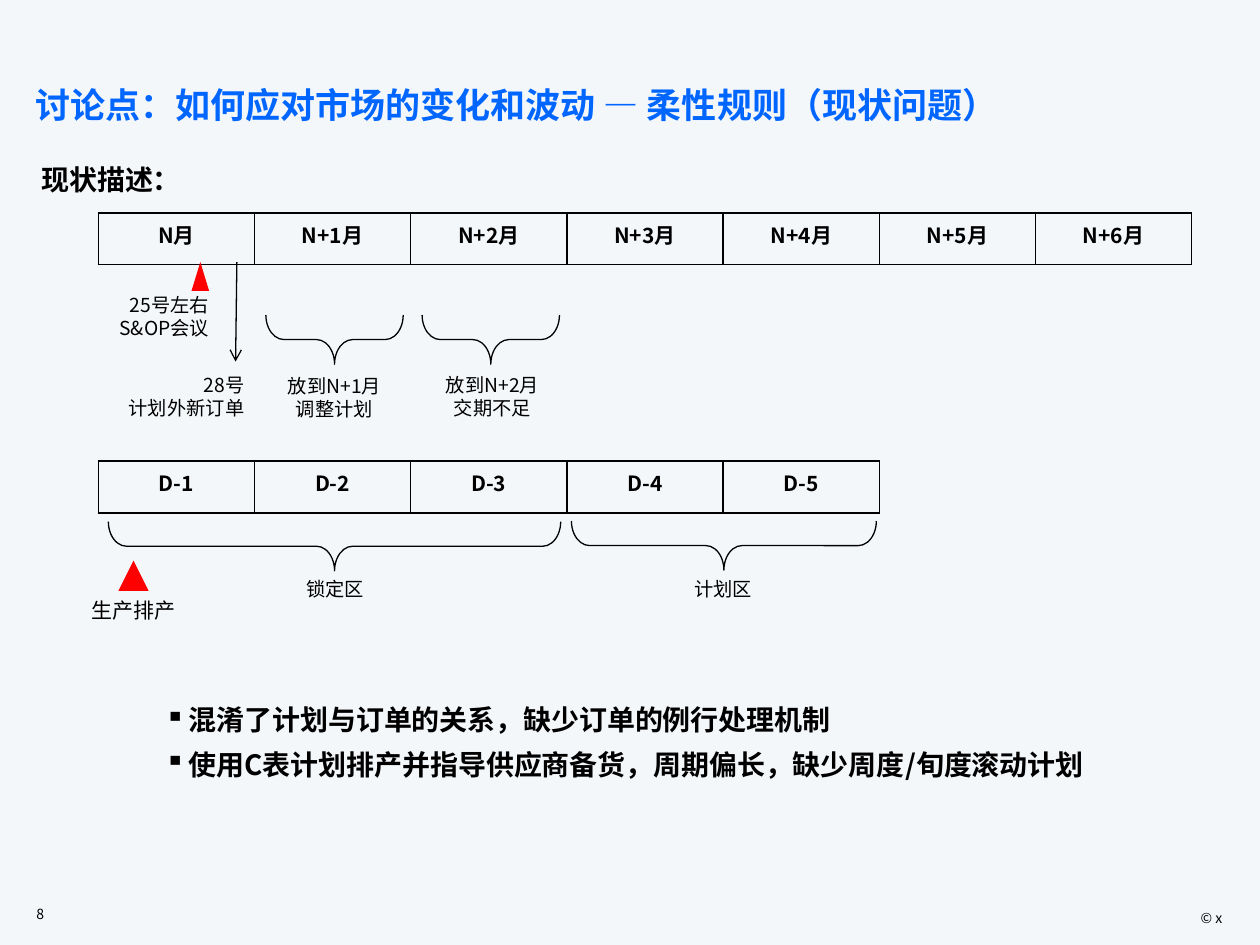
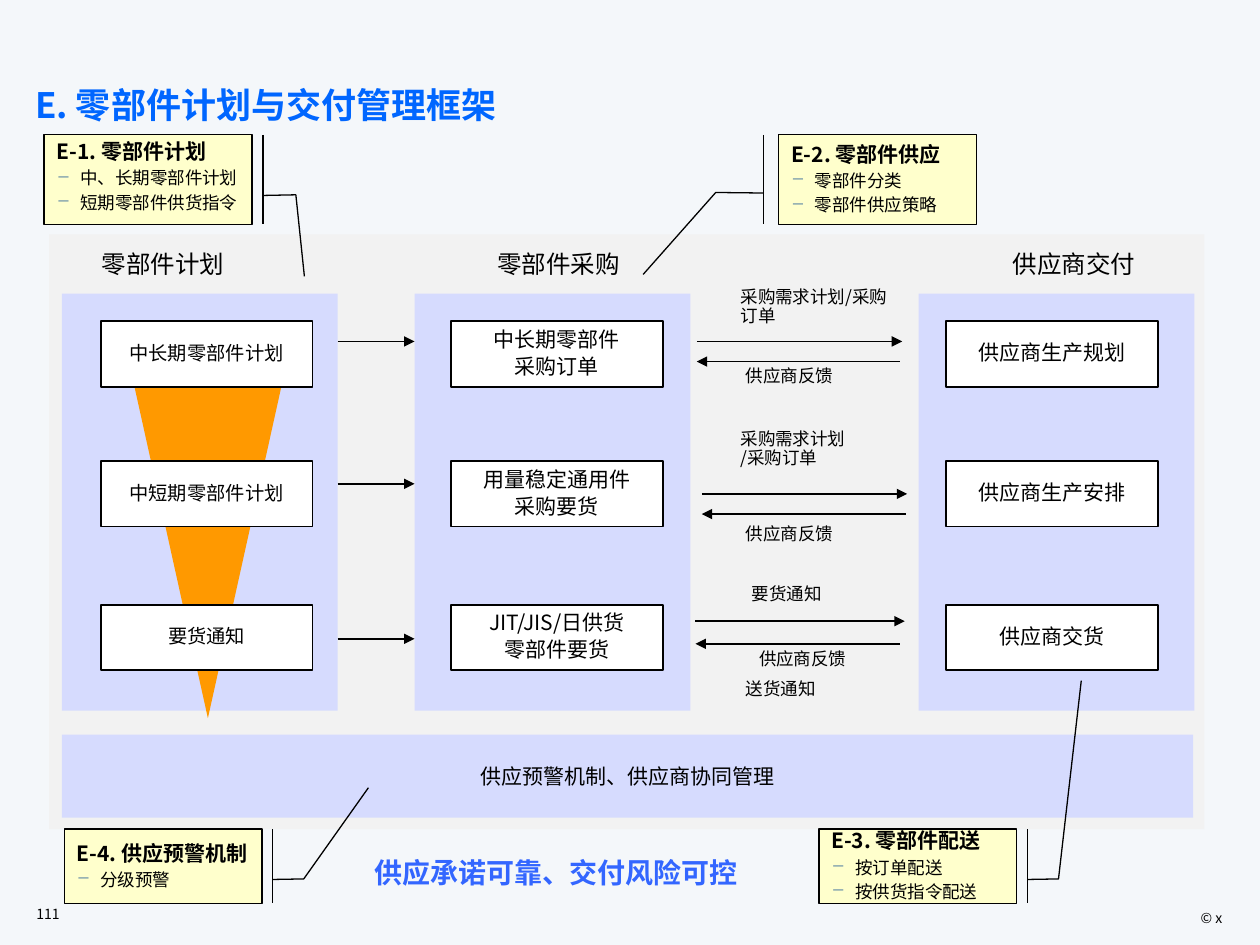
from lxml.etree import SubElement
from pptx import Presentation
from pptx.dml.color import RGBColor
from pptx.enum.shapes import MSO_CONNECTOR, MSO_SHAPE
from pptx.enum.text import MSO_ANCHOR, PP_ALIGN
from pptx.oxml.ns import qn
from pptx.util import Inches, Pt

FONT = "Noto Sans CJK SC"
BLACK = RGBColor(0x00, 0x00, 0x00)
WHITE = RGBColor(0xFF, 0xFF, 0xFF)
BACKGROUND = RGBColor(0xF4, 0xF7, 0xFA)
TITLE_BLUE = RGBColor(0x00, 0x66, 0xFF)
SLOGAN_BLUE = RGBColor(0x33, 0x66, 0xFF)
RED = RGBColor(0xFF, 0x00, 0x00)
ORANGE = RGBColor(0xFF, 0x99, 0x00)
PANEL_GREY = RGBColor(0xF2, 0xF2, 0xF2)
LANE_BLUE = RGBColor(0xD6, 0xDB, 0xFE)
NOTE_YELLOW = RGBColor(0xFF, 0xFF, 0xCC)
LEFT, CENTER, RIGHT = PP_ALIGN.LEFT, PP_ALIGN.CENTER, PP_ALIGN.RIGHT
TOP, MIDDLE = MSO_ANCHOR.TOP, MSO_ANCHOR.MIDDLE


def write(shape, text, size, bold=False, color=BLACK, align=LEFT, anchor=TOP,
          spacing=1.0, gap=0, wrap=True, bullet=None):
    frame = shape.text_frame
    frame.text = text
    frame.word_wrap = wrap
    frame.vertical_anchor = anchor
    for index, paragraph in enumerate(frame.paragraphs):
        paragraph.alignment = align
        paragraph.line_spacing = spacing
        paragraph.space_before = Pt(gap if index else 0)
        if bullet:
            properties = paragraph._p.get_or_add_pPr()
            properties.set("marL", str(Inches(0.19)))
            properties.set("indent", str(-Inches(0.19)))
            if bullet == "▪" or index:
                if bullet == "−":
                    bullet_color = SubElement(properties, qn("a:buClr"))
                    SubElement(bullet_color, qn("a:srgbClr")).set("val", "2F6499")
                SubElement(properties, qn("a:buChar")).set("char", bullet)
        for run in paragraph.runs:
            run.font.size = Pt(size)
            run.font.bold = bold
            run.font.color.rgb = color
            run.font.name = FONT
            SubElement(run._r.get_or_add_rPr(), qn("a:ea")).set("typeface", FONT)


def add_arrow(slide, x1, y1, x2, y2, width, head):
    connector = slide.shapes.add_connector(
        MSO_CONNECTOR.STRAIGHT, Inches(x1), Inches(y1), Inches(x2), Inches(y2))
    connector.line.color.rgb = BLACK
    connector.line.width = Pt(width)
    SubElement(connector.line._get_or_add_ln(), qn("a:tailEnd")).set("type", head)
    SubElement(connector._element.spPr, qn("a:effectLst"))


presentation = Presentation()
presentation.slide_width = Inches(10)
presentation.slide_height = Inches(7.5)

slides = []
for title, number in [("讨论点：如何应对市场的变化和波动 — 柔性规则（现状问题）", "8"),
                      ("E. 零部件计划与交付管理框架", "111")]:
    slide = presentation.slides.add_slide(presentation.slide_layouts[6])
    slide.background.fill.solid()
    slide.background.fill.fore_color.rgb = BACKGROUND
    copyright_box = slide.shapes.add_textbox(Inches(8.3), Inches(7.17), Inches(1.5), Inches(0.2))
    write(copyright_box, "© x", 8, align=RIGHT)
    number_box = slide.shapes.add_textbox(Inches(0.19), Inches(7.13), Inches(0.7), Inches(0.24))
    write(number_box, number, 8, anchor=MIDDLE)
    title_box = slide.shapes.add_textbox(Inches(0.18), Inches(0.65), Inches(9.65), Inches(0.76))
    write(title_box, title, 20, True, TITLE_BLUE, spacing=0.9)
    slides.append(slide)

status_slide, framework_slide = slides

months = ["N月"] + [f"N+{offset}月" for offset in range(1, 7)]
days = [f"D-{day}" for day in range(1, 6)]
for labels, top in [(months, 1.69), (days, 3.66)]:
    table = status_slide.shapes.add_table(
        1, len(labels), Inches(0.78), Inches(top), Inches(1.24 * len(labels)), Inches(0.41)).table
    table.first_row = False
    table.horz_banding = False
    for column, label in enumerate(labels):
        table.columns[column].width = Inches(1.24)
        cell = table.cell(0, column)
        write(cell, label, 12, True, align=CENTER, anchor=MIDDLE)
        cell.margin_left = cell.margin_right = Inches(0.04)
        properties = cell._tc.get_or_add_tcPr()
        for side in ("a:lnL", "a:lnR", "a:lnT", "a:lnB"):
            border = SubElement(properties, qn(side), w=str(Pt(1)))
            border_fill = SubElement(border, qn("a:solidFill"))
            SubElement(border_fill, qn("a:srgbClr")).set("val", "000000")
        cell.fill.background()

for left, top, width, height in [(1.52, 2.08, 0.14, 0.23), (0.94, 4.45, 0.24, 0.24)]:
    marker = status_slide.shapes.add_shape(
        MSO_SHAPE.ISOSCELES_TRIANGLE, Inches(left), Inches(top), Inches(width), Inches(height))
    marker.shadow.inherit = False
    marker.fill.solid()
    marker.fill.fore_color.rgb = RED
    marker.line.fill.background()

add_arrow(status_slide, 1.88, 2.08, 1.87, 2.87, 0.75, "arrow")

for left, top, length in [(2.46, 2.15, 1.09), (3.7, 2.15, 1.09),
                          (2.46, 2.54, 3.59), (5.55, 3.12, 2.42)]:
    brace = status_slide.shapes.add_shape(
        MSO_SHAPE.RIGHT_BRACE, Inches(left), Inches(top), Inches(0.39), Inches(length))
    brace.rotation = 90
    brace.adjustments[0] = 0.368
    brace.adjustments[1] = 0.5
    brace.shadow.inherit = False
    brace.fill.background()
    brace.line.color.rgb = BLACK
    brace.line.width = Pt(0.75)

for text, left, top, width, height, size, bold, align, wrap in [
    ("现状描述：", 0.23, 1.24, 1.32, 0.37, 16, True, LEFT, False),
    ("25号左右\nS&OP会议", 0.8, 2.28, 0.96, 0.47, 11, False, RIGHT, False),
    ("28号\n计划外新订单", 0.91, 2.91, 1.13, 0.47, 11, False, RIGHT, False),
    ("放到N+1月\n调整计划", 2.16, 2.92, 0.99, 0.47, 11, False, CENTER, True),
    ("放到N+2月\n交期不足", 3.41, 2.91, 1, 0.47, 11, False, CENTER, True),
    ("锁定区", 2.33, 4.53, 0.66, 0.29, 11, False, CENTER, False),
    ("计划区", 5.41, 4.53, 0.66, 0.29, 11, False, CENTER, False),
    ("生产排产", 0.55, 4.69, 1.02, 0.3, 12, False, CENTER, True),
]:
    label_box = status_slide.shapes.add_textbox(
        Inches(left), Inches(top), Inches(width), Inches(height))
    write(label_box, text, size, bold, align=align, wrap=wrap)

issues_box = status_slide.shapes.add_textbox(Inches(1.21), Inches(5.53), Inches(7.85), Inches(0.72))
write(issues_box, "混淆了计划与订单的关系，缺少订单的例行处理机制\n"
      "使用C表计划排产并指导供应商备货，周期偏长，缺少周度/旬度滚动计划",
      16, True, gap=6, bullet="▪")

bands = [(MSO_SHAPE.RECTANGLE, 0.39, 1.86, 9.17, 4.72, PANEL_GREY, "")]
bands += [(MSO_SHAPE.RECTANGLE, left, 2.33, 2.19, 3.31, LANE_BLUE, "")
          for left in (0.49, 3.29, 7.29)]
bands += [
    (MSO_SHAPE.RECTANGLE, 0.49, 5.83, 8.98, 0.66, LANE_BLUE, "供应预警机制、供应商协同管理"),
    (MSO_SHAPE.ISOSCELES_TRIANGLE, 0.95, 2.54, 1.4, 3.16, ORANGE, ""),
]
for kind, left, top, width, height, color, text in bands:
    band = framework_slide.shapes.add_shape(
        kind, Inches(left), Inches(top), Inches(width), Inches(height))
    band.shadow.inherit = False
    band.fill.solid()
    band.fill.fore_color.rgb = color
    band.line.fill.background()
    if kind == MSO_SHAPE.ISOSCELES_TRIANGLE:
        band.rotation = 180
    if text:
        write(band, text, 12, align=CENTER, anchor=MIDDLE)

for left, size, steps in [
    (0.8, 11, ["中长期零部件计划", "中短期零部件计划", "要货通知"]),
    (3.58, 12, ["中长期零部件\n采购订单", "用量稳定通用件\n采购要货", "JIT/JIS/日供货\n零部件要货"]),
    (7.51, 12, ["供应商生产规划", "供应商生产安排", "供应商交货"]),
]:
    for step, top in zip(steps, (2.55, 3.66, 4.8)):
        step_box = framework_slide.shapes.add_shape(
            MSO_SHAPE.RECTANGLE, Inches(left), Inches(top), Inches(1.68), Inches(0.52))
        step_box.shadow.inherit = False
        step_box.fill.solid()
        step_box.fill.fore_color.rgb = WHITE
        step_box.line.color.rgb = BLACK
        step_box.line.width = Pt(1)
        write(step_box, step, size, align=CENTER, anchor=MIDDLE, spacing=0.9, gap=2.4, wrap=False)

for x1, y1, x2 in [
    (2.68, 2.71, 3.29), (2.68, 3.84, 3.29), (2.68, 5.07, 3.29),
    (5.53, 2.71, 7.16), (5.57, 3.92, 7.2), (5.52, 4.93, 7.18),
    (7.14, 2.87, 5.53), (7.19, 4.08, 5.57), (7.14, 5.11, 5.52),
]:
    add_arrow(framework_slide, x1, y1, x2, y1, 1, "triangle")

for text, left, top, width, height, size, align in [
    ("零部件计划", 0.39, 1.95, 1.81, 0.38, 14, CENTER),
    ("零部件采购", 3.58, 1.95, 1.71, 0.38, 14, CENTER),
    ("供应商交付", 7.67, 1.95, 1.71, 0.38, 14, CENTER),
    ("采购需求计划/采购订单", 5.78, 2.24, 1.36, 0.49, 10, LEFT),
    ("供应商反馈", 5.82, 2.87, 1.36, 0.31, 10, LEFT),
    ("采购需求计划\n/采购订单", 5.78, 3.37, 1.51, 0.49, 10, LEFT),
    ("供应商反馈", 5.82, 4.12, 1.36, 0.31, 10, LEFT),
    ("要货通知", 5.87, 4.6, 1.36, 0.31, 10, LEFT),
    ("供应商反馈", 5.69, 5.11, 1.36, 0.3, 10, CENTER),
    ("送货通知", 5.82, 5.35, 1.36, 0.31, 10, LEFT),
]:
    flow_label = framework_slide.shapes.add_textbox(
        Inches(left), Inches(top), Inches(width), Inches(height))
    write(flow_label, text, size, align=align, spacing=0.9)

slogan_box = framework_slide.shapes.add_textbox(Inches(2.8), Inches(6.74), Inches(3.23), Inches(0.37))
write(slogan_box, "供应承诺可靠、交付风险可控", 16, True, SLOGAN_BLUE, CENTER)

for text, left, top, width, height, anchor, pointer in [
    ("E-1. 零部件计划\n中、长期零部件计划\n短期零部件供货指令", 0.35, 1.07, 1.65, 0.71, TOP,
     (0.678, 1.053, 0.671, 1.211, 1.582, 1.252)),
    ("E-2. 零部件供应\n零部件分类\n零部件供应策略", 6.18, 1.07, 1.57, 0.71, MIDDLE,
     (0.651, -0.077, 0.645, -0.318, 1.561, -0.685)),
    ("E-4. 供应预警机制\n分级预警", 0.51, 6.58, 1.57, 0.59, MIDDLE,
     (0.678, 1.053, 0.671, 1.211, -0.557, 1.538)),
    ("E-3. 零部件配送\n按订单配送\n按供货指令配送", 6.5, 6.58, 1.57, 0.59, MIDDLE,
     (0.678, 1.053, 0.671, 1.211, -1.996, 1.326)),
]:
    callout = framework_slide.shapes.add_shape(
        MSO_SHAPE.LINE_CALLOUT_2_BORDER_AND_ACCENT_BAR,
        Inches(left), Inches(top), Inches(width), Inches(height))
    for index, value in enumerate(pointer):
        callout.adjustments[index] = value
    callout.shadow.inherit = False
    callout.fill.solid()
    callout.fill.fore_color.rgb = NOTE_YELLOW
    callout.line.color.rgb = BLACK
    callout.line.width = Pt(0.75)
    write(callout, text, 10, anchor=anchor, gap=2, bullet="−")
    heading = callout.text_frame.paragraphs[0]
    heading.line_spacing = Pt(13)
    heading.runs[0].font.size = Pt(12)
    heading.runs[0].font.bold = True

presentation.save("out.pptx")
